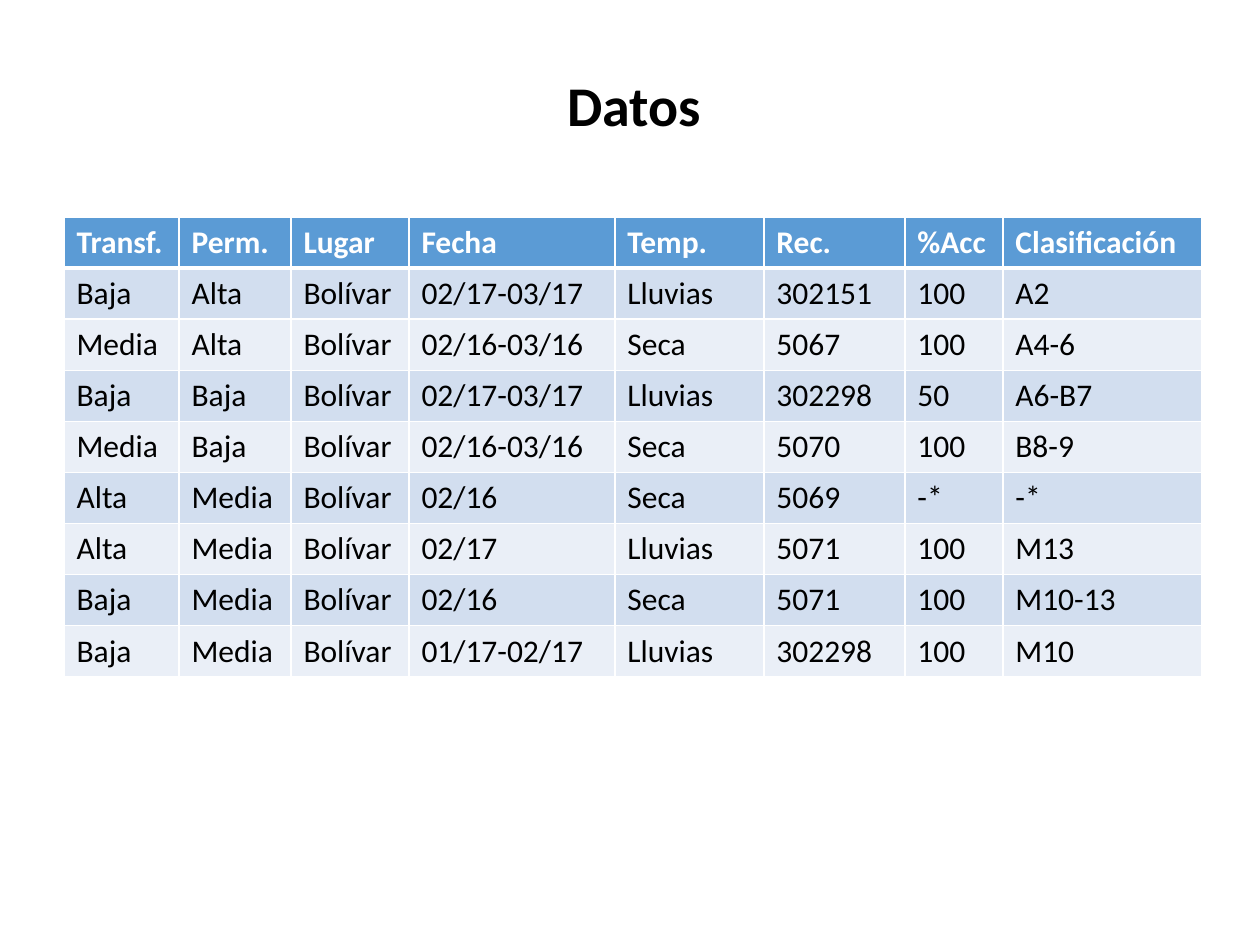
from dataclasses import dataclass

from lxml.etree import SubElement as Sub
from pptx import Presentation
from pptx.dml.color import RGBColor as RGB
from pptx.enum.text import MSO_ANCHOR as Anchor, PP_ALIGN as Align
from pptx.oxml.ns import qn
from pptx.util import Emu, Pt

SCALE = 914400 / 126
FONT = "Calibri"
BLACK = RGB(0x00, 0x00, 0x00)
WHITE = RGB(0xFF, 0xFF, 0xFF)
BLUE = RGB(0x5B, 0x9B, 0xD5)
BAND = RGB(0xD2, 0xDE, 0xEF)
PALE = RGB(0xEA, 0xEF, 0xF7)

LEFT, TOP, ROW = 64, 217, 51
COLS = [115, 112, 118, 206, 149, 141, 98, 199]
DATA = [
    ("Transf.", "Perm.", "Lugar", "Fecha", "Temp.", "Rec.", "%Acc", "Clasificación"),
    ("Baja", "Alta", "Bolívar", "02/17-03/17", "Lluvias", "302151", "100", "A2"),
    ("Media", "Alta", "Bolívar", "02/16-03/16", "Seca", "5067", "100", "A4-6"),
    ("Baja", "Baja", "Bolívar", "02/17-03/17", "Lluvias", "302298", "50", "A6-B7"),
    ("Media", "Baja", "Bolívar", "02/16-03/16", "Seca", "5070", "100", "B8-9"),
    ("Alta", "Media", "Bolívar", "02/16", "Seca", "5069", "-*", "-*"),
    ("Alta", "Media", "Bolívar", "02/17", "Lluvias", "5071", "100", "M13"),
    ("Baja", "Media", "Bolívar", "02/16", "Seca", "5071", "100", "M10-13"),
    ("Baja", "Media", "Bolívar", "01/17-02/17", "Lluvias", "302298", "100", "M10"),
]


@dataclass
class Style:
    """Look of the cells in one row."""
    fill: RGB
    ink: RGB = BLACK
    bold: bool = False
    top: int = 1
    base: int = 1


def px(num: float) -> Emu:
    """Turn pixels into EMU."""
    return Emu(round(num * SCALE))


def write(para, text: str, size: int, ink: RGB, bold: bool) -> None:
    """Add one formatted run to a paragraph."""
    run = para.add_run()
    run.text = text
    font = run.font
    font.name, font.size, font.bold = FONT, Pt(size), bold
    font.color.rgb = ink


def edge(cell, side: str, width: int) -> None:
    """Draw a white border on one side of a cell."""
    line = Sub(cell._tc.get_or_add_tcPr(), qn(f"a:ln{side}"), w=str(Pt(width)))
    Sub(Sub(line, qn("a:solidFill")), qn("a:srgbClr"), val=str(WHITE))


def style_for(row: int) -> Style:
    """Pick the style of a row by its index."""
    if row == 0:
        return Style(BLUE, WHITE, bold=True, base=3)
    return Style(BAND if row % 2 else PALE, top=3 if row == 1 else 1)


def paint(cell, text: str, style: Style) -> None:
    """Fill, frame and letter one cell."""
    for side, width in zip("LRTB", (1, 1, style.top, style.base)):
        edge(cell, side, width)
    cell.fill.solid()
    cell.fill.fore_color.rgb = style.fill
    write(cell.text_frame.paragraphs[0], text, 18, style.ink, style.bold)


def add_title(slide, text: str) -> None:
    """Place and letter the title."""
    title = slide.shapes.title
    title.left, title.top, title.width, title.height = map(px, (314, 64, 641, 81))
    frame = title.text_frame
    frame.word_wrap = True
    frame.vertical_anchor = Anchor.MIDDLE
    para = frame.paragraphs[0]
    para.alignment = Align.CENTER
    write(para, text, 32, BLACK, True)


def add_grid(slide) -> None:
    """Build the data table."""
    box = map(px, (LEFT, TOP, sum(COLS), ROW * len(DATA)))
    table = slide.shapes.add_table(len(DATA), len(COLS), *box).table
    for col, width in zip(table.columns, COLS):
        col.width = px(width)
    for idx, texts in enumerate(DATA):
        table.rows[idx].height = px(ROW)
        for cell, text in zip(table.rows[idx].cells, texts):
            paint(cell, text, style_for(idx))


def main() -> None:
    """Build and save the slide."""
    deck = Presentation()
    deck.slide_width, deck.slide_height = px(1260), px(945)
    slide = deck.slides.add_slide(deck.slide_layouts[5])
    add_title(slide, "Datos")
    add_grid(slide)
    deck.save("out.pptx")


main()
